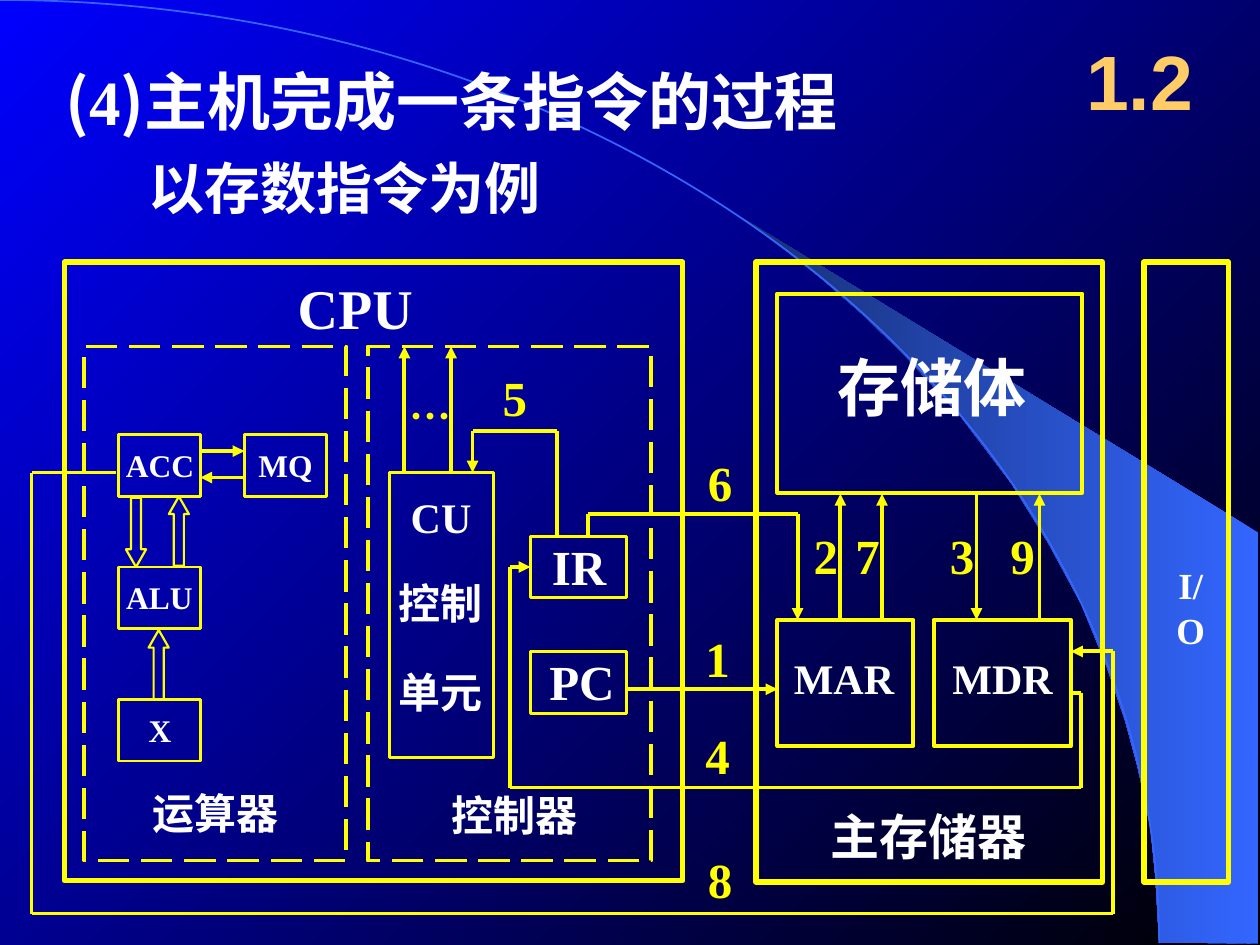
"""Build a slide tracing one store instruction through CPU, memory and I/O."""
from lxml import etree
from pptx import Presentation
from pptx import util as u
from pptx.dml.color import RGBColor
from pptx.enum import dml, shapes, text
from pptx.oxml.ns import qn

YELLOW = RGBColor(0xFF, 0xFF, 0x00)
WHITE = RGBColor(0xFF, 0xFF, 0xFF)
ORANGE = RGBColor(0xFF, 0xCC, 0x66)
SKY = RGBColor(0x33, 0x66, 0xFF)
DEEP = RGBColor(0x17, 0x2F, 0x75)
BLUE = RGBColor(0x00, 0x00, 0xFF)
BLACK = RGBColor(0x00, 0x00, 0x00)
HAN, SERIF, SANS = "Noto Sans CJK SC", "Times New Roman", "Arial"
PADDED, TIGHT = (0.1, 0.05), (0, 0)

BEAM = [
    (9.2, 7.48), (9.99, 7.49), (9.99, 4.23), (5.89, 1.73), (6.24, 1.99), (6.53, 2.22),
    (6.85, 2.5), (7.16, 2.8), (7.62, 3.3), (8.03, 3.84), (8.32, 4.31), (8.58, 4.79),
    (8.78, 5.28), (8.93, 5.72), (9.03, 6.09), (9.13, 6.56), (9.17, 6.96),
]
HORIZON = (-9.2, 0, 18.4, 14.97)

FRAMES = {
    3: [(0.51, 2.08, 4.91, 4.91), (6, 2.08, 2.75, 4.92), (9.08, 2.08, 0.67, 4.92)],
    2.25: [(6.17, 2.33, 2.42, 1.58), (6.17, 4.92, 1.08, 1), (7.41, 4.92, 1.09, 1)],
    1.64: [(3.09, 3.75, 0.83, 2.26), (4.21, 5.17, 0.76, 0.49), (1.94, 3.45, 0.65, 0.49)]
    + [(0.94, 3.45 + 1.05 * row, 0.65, 0.49) for row in range(3)],
}
DASHED = [(0.67, 2.75, 2.08, 4.08), (2.92, 2.75, 2.25, 4.08)]
IR_FRAME = (4.21, 4.26, 0.76, 0.48)

ARROW_ROUTES = [
    [(4.98, 5.47), (6.17, 5.47)],
    [(6.67, 4.92), (6.67, 3.92)],
    [(7, 4.92), (7, 3.92)],
    [(7.75, 3.92), (7.75, 4.92)],
    [(8.25, 4.92), (8.25, 3.92)],
    [(4.42, 4.25), (4.42, 3.42), (3.75, 3.42), (3.75, 3.75)],
    [(4.67, 4.25), (4.67, 4.08), (6.33, 4.08), (6.33, 4.92)],
    [(0.92, 3.75), (0.25, 3.75), (0.25, 7.25), (8.83, 7.25), (8.83, 5.17), (8.5, 5.17)],
    [(3.21, 3.75), (3.21, 2.75)],
    [(3.58, 3.75), (3.58, 2.75)],
    [(1.59, 3.58), (1.94, 3.58)],
    [(1.94, 3.79), (1.59, 3.79)],
]
FETCH_ROUTE = [(8.5, 5.5), (8.58, 5.5), (8.58, 6.25), (4.05, 6.25), (4.05, 4.5), (4.21, 4.5)]
BLOCK_ARROWS = [(1.08, 4.5, -1), (1.42, 3.94, 1), (1.26, 5, 1)]

STEPS = {
    "1": (5.5, 4.94), "2": (6.36, 4.12), "3": (7.44, 4.12), "4": (5.5, 5.71),
    "5": (3.89, 2.87), "6": (5.52, 3.54), "7": (6.69, 4.12), "8": (5.52, 6.69),
    "9": (7.92, 4.12),
}
LABELS = [
    ("CU", (3.26, 3.9, 0.99, 0.4), 24, SERIF),
    ("控制", (3.16, 4.58, 1.03, 0.4), 24, HAN),
    ("单元", (3.16, 5.29, 0.9, 0.4), 24, HAN),
    ("主存储器", (6.59, 6.4, 1.85, 0.47), 28, HAN),
    ("MDR", (7.56, 5.18, 1, 0.4), 24, SERIF),
    ("MAR", (6.3, 5.18, 1.09, 0.4), 24, SERIF),
    ("PC", (4.36, 5.17, 1.14, 0.47), 28, SERIF),
    ("IR", (4.38, 4.26, 1.04, 0.47), 28, SERIF),
    ("控制器", (3.58, 6.27, 1.42, 0.4), 24, HAN),
    ("运算器", (1.21, 6.25, 1.36, 0.4), 24, HAN),
    ("MQ", (2.05, 3.54, 0.72, 0.3), 18, SERIF),
    ("ACC", (1, 3.54, 0.93, 0.3), 18, SERIF),
    ("X", (1.18, 5.64, 0.46, 0.3), 18, SERIF),
]
CENTRED_LABELS = [
    ("CPU", (2.36, 2.17, 0.92, 0.53), 32, SERIF),
    ("ALU", (1, 4.59, 0.53, 0.3), 18, SERIF),
    ("I/O", (9.24, 4.47, 0.42, 0.35), 21, SERIF),
]
TITLE = [("(", HAN), ("4", SERIF), (")主机完成一条指令的过程", HAN)]


def assign(target, values):
    """Set every named attribute on the target."""
    for name, value in values.items():
        setattr(target, name, value)


def inches(values):
    """Convert numbers to lengths."""
    return [u.Inches(value) for value in values]


def stroke(shape, width, color=YELLOW):
    """Give a shape or connector its line."""
    shape.line.color.rgb = color
    shape.line.width = u.Pt(width)


def shade(fill, angle, *colors):
    """Apply a two-colour linear gradient."""
    fill.gradient()
    fill.gradient_angle = angle
    for stop, position, color in zip(fill.gradient_stops, (0, 1), colors):
        stop.position = position
        stop.color.rgb = color


def outline(page, points):
    """Draw a closed polygon."""
    corners = [inches(point) for point in points]
    builder = page.shapes.build_freeform(*corners[0])
    builder.add_line_segments(corners[1:], close=True)
    shape = builder.convert_to_shape()
    shape.shadow.inherit = False
    return shape


def preset(page, kind, place, width, color=YELLOW):
    """Draw an unfilled preset shape."""
    shape = page.shapes.add_shape(kind, *inches(place))
    shape.shadow.inherit = False
    shape.fill.background()
    stroke(shape, width, color)
    return shape


def route(page, points):
    """Draw straight legs through the points, with an arrowhead on the last."""
    for start, end in zip(points, points[1:]):
        leg = page.shapes.add_connector(shapes.MSO_CONNECTOR.STRAIGHT, *inches(start + end))
        stroke(leg, 2.25)
        etree.SubElement(leg._element.spPr, qn("a:effectLst"))
    etree.SubElement(leg.line._get_or_add_ln(), qn("a:tailEnd"), type="triangle")
    return leg


def block_arrow(page, x, tip, way):
    """Draw a hollow vertical arrow; way is 1 for up and -1 for down."""
    neck, end = tip + 0.14 * way, tip + 0.55 * way
    half = [(0.08, neck), (0.04, neck), (0.04, end)]
    left = [(x - gap, y) for gap, y in half]
    right = [(x + gap, y) for gap, y in reversed(half)]
    shape = outline(page, left + right + [(x, tip)])
    shape.fill.background()
    stroke(shape, 1.25)


def write(page, spans, place, size, color=WHITE, inset=TIGHT, wrap=True, centre=False, **frame):
    """Add a bold one-paragraph text box."""
    box = page.shapes.add_textbox(*inches(place)).text_frame
    side, top = inches(inset)
    assign(box, {
        "margin_left": side, "margin_right": side, "margin_top": top, "margin_bottom": top,
        "word_wrap": wrap, "auto_size": text.MSO_AUTO_SIZE.SHAPE_TO_FIT_TEXT, **frame,
    })
    para = box.paragraphs[0]
    para.alignment = text.PP_ALIGN.CENTER if centre else text.PP_ALIGN.LEFT
    for words, face in spans:
        span = para.add_run()
        span.text = words
        assign(span.font, {"size": u.Pt(size), "bold": True, "name": face})
        span.font.color.rgb = color
        etree.SubElement(span._r.get_or_add_rPr(), qn("a:ea"), typeface=face)


def main():
    """Assemble and save the deck."""
    deck = Presentation()
    assign(deck, {"slide_width": u.Inches(10), "slide_height": u.Inches(7.5)})
    page = deck.slides.add_slide(deck.slide_layouts[6])
    shade(page.background.fill, 135, BLACK, BLUE)
    beam = outline(page, BEAM)
    shade(beam.fill, 180, SKY, DEEP)
    beam.line.fill.background()
    preset(page, shapes.MSO_SHAPE.ARC, HORIZON, 1, SKY)

    rectangle = shapes.MSO_SHAPE.RECTANGLE
    for width, places in FRAMES.items():
        for place in places:
            preset(page, rectangle, place, width)
    for place in DASHED:
        preset(page, rectangle, place, 2.25).line.dash_style = dml.MSO_LINE.LONG_DASH
    register = preset(page, rectangle, IR_FRAME, 1.64)
    for points in ARROW_ROUTES:
        route(page, points)
    route(page, FETCH_ROUTE).end_connect(register, 1)
    for arrow in BLOCK_ARROWS:
        block_arrow(page, *arrow)

    for step, corner in STEPS.items():
        write(page, [(step, SERIF)], corner + (0.39, 0.57), 28, YELLOW, PADDED, False, True)
    for words, place, size, face in LABELS:
        write(page, [(words, face)], place, size)
    for words, place, size, face in CENTRED_LABELS:
        write(page, [(words, face)], place, size, wrap=False, centre=True)
    write(page, [("存储体", HAN)], (6.55, 2.72, 1.7, 0.7), 36, WHITE, PADDED, False, True)
    write(page, [("…", HAN)], (3.15, 3.05, 0.53, 0.5), 24, YELLOW, PADDED, False)
    write(page, [("以存数指令为例", HAN)], (1.08, 1.17, 5.26, 0.64), 32, WHITE, PADDED)
    write(page, TITLE, (0.42, 0.45, 7.25, 0.7), 36, WHITE, PADDED)
    write(page, [("1.2", SANS)], (8.42, 0.17, 1.25, 0.92), 44, ORANGE, PADDED, centre=True,
          vertical_anchor=text.MSO_ANCHOR.MIDDLE, auto_size=text.MSO_AUTO_SIZE.NONE)
    deck.save("out.pptx")


if __name__ == "__main__":
    main()
